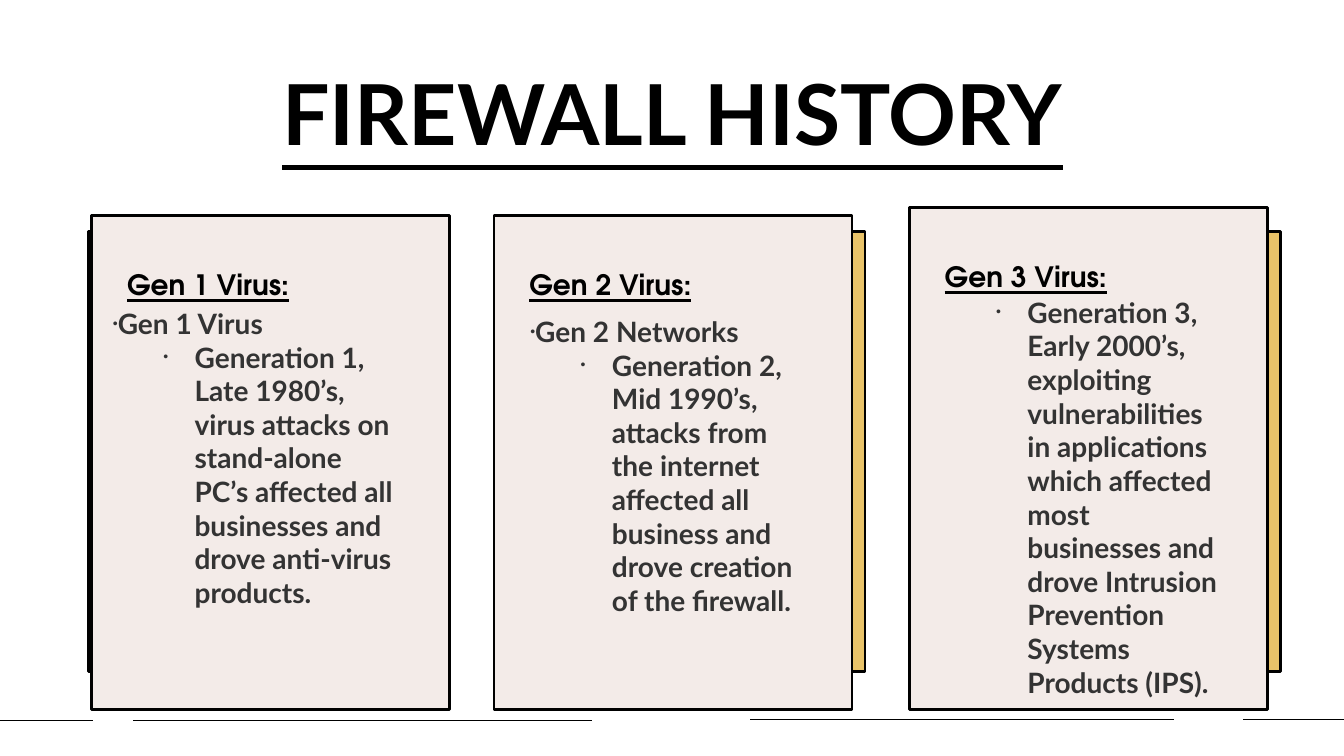
from dataclasses import dataclass

from lxml.etree import SubElement
from pptx import Presentation
from pptx.dml.color import RGBColor
from pptx.enum.shapes import MSO_CONNECTOR, MSO_SHAPE
from pptx.enum.text import MSO_ANCHOR, MSO_AUTO_SIZE, PP_ALIGN
from pptx.oxml.ns import qn
from pptx.util import Pt

EMU_PER_PX = 9144
COLOURS = {"black": "000000", "text": "333333", "gold": "E9C369", "card": "F3EBE8"}
COMPARISON_LAYOUT = 4
CARD_WIDTH = 355
CARD_BOTTOM = 704
PANEL_TOP = 230
PANEL_HEIGHT = 436
LIST_WIDTH = 300


@dataclass(frozen=True)
class Bullet:
    text: str
    level: int


@dataclass(frozen=True)
class Generation:
    heading: str
    panel_left: int
    card_left: int
    card_top: int
    list_left: int
    list_top: int
    list_height: int
    list_inset: int
    bullets: tuple[Bullet, ...]


@dataclass(frozen=True)
class FloorLine:
    start: int
    end: int
    top: int


GENERATIONS = (
    Generation("Gen 1 Virus:", 88, 91, 214, 102, 299, 328, 5, (
        Bullet("Gen 1 Virus", 0),
        Bullet("Generation 1, Late 1980’s, virus attacks on stand-alone PC’s affected all "
               "businesses and drove anti-virus products.", 1),
    )),
    Generation("Gen 2 Virus:", 503, 490, 214, 516, 307, 397, 5, (
        Bullet("Gen 2 Networks", 0),
        Bullet("Generation 2, Mid 1990’s, attacks from the internet affected all business "
               "and drove creation of the firewall.", 1),
    )),
    Generation("Gen 3 Virus:", 915, 902, 206, 928, 255, 439, 38, (
        Bullet("Generation 3, Early 2000’s, exploiting vulnerabilities in applications "
               "which affected most businesses and drove Intrusion Prevention Systems "
               "Products (IPS).", 1),
    )),
)

FLOOR_LINES = (
    FloorLine(0, 92, 715),
    FloorLine(132, 587, 715),
    FloorLine(744, 1164, 714),
    FloorLine(1233, 1333, 714),
)


def px(length: int) -> int:
    return length * EMU_PER_PX


def colour(name: str) -> RGBColor:
    return RGBColor.from_string(COLOURS[name])


def place(shape, left: int, top: int, width: int, height: int) -> None:
    shape.left, shape.top = px(left), px(top)
    shape.width, shape.height = px(width), px(height)


def set_insets(text_frame, left: int, top: int, right: int, bottom: int) -> None:
    text_frame.margin_left, text_frame.margin_top = px(left), px(top)
    text_frame.margin_right, text_frame.margin_bottom = px(right), px(bottom)
    text_frame.word_wrap = True
    text_frame.auto_size = MSO_AUTO_SIZE.NONE


def format_runs(paragraph, font: str, size: int, colour_name: str, underline: bool) -> None:
    for run in paragraph.runs:
        run.font.name = font
        run.font.size = Pt(size)
        run.font.bold = True
        run.font.underline = underline
        run.font.color.rgb = colour(colour_name)


def bring_to_front(shape) -> None:
    shape.element.getparent().append(shape.element)


def draw_floor_line(slide, line: FloorLine) -> None:
    connector = slide.shapes.add_connector(
        MSO_CONNECTOR.STRAIGHT, px(line.start), px(line.top), px(line.end), px(line.top))
    connector.line.color.rgb = colour("black")
    connector.line.width = Pt(1)
    SubElement(connector.element.spPr, qn("a:effectLst"))


def draw_box(slide, left: int, top: int, height: int, fill: str):
    shape = slide.shapes.add_shape(
        MSO_SHAPE.RECTANGLE, px(left), px(top), px(CARD_WIDTH), px(height))
    shape.shadow.inherit = False
    shape.fill.solid()
    shape.fill.fore_color.rgb = colour(fill)
    shape.line.color.rgb = colour("black")
    shape.line.width = Pt(2)
    return shape


def draw_card(slide, generation: Generation) -> None:
    card = draw_box(slide, generation.card_left, generation.card_top,
                    CARD_BOTTOM - generation.card_top, "card")
    text_frame = card.text_frame
    text_frame.text = generation.heading
    text_frame.vertical_anchor = MSO_ANCHOR.TOP
    set_insets(text_frame, 35, 55, 10, 5)
    paragraph = text_frame.paragraphs[0]
    paragraph.alignment = PP_ALIGN.LEFT
    paragraph.line_spacing = 0.9
    paragraph.space_before = Pt(10)
    format_runs(paragraph, "TeX Gyre Adventor", 20, "black", True)


def format_bullet(paragraph, level: int) -> None:
    paragraph.level = level
    paragraph.alignment = PP_ALIGN.LEFT
    paragraph.line_spacing = 1.0
    paragraph.space_before = Pt(0)
    properties = paragraph._p.get_or_add_pPr()
    properties.set("marL", str(px(81 * level)))
    properties.set("indent", str(px(-31 * level)))
    SubElement(properties, qn("a:buSzPct"), val="50000")
    SubElement(properties, qn("a:buFont"), typeface="Arial")
    SubElement(properties, qn("a:buChar"), char="•")
    format_runs(paragraph, "Lato", 20, "text", False)


def fill_list(placeholder, generation: Generation) -> None:
    place(placeholder, generation.list_left, generation.list_top,
          LIST_WIDTH, generation.list_height)
    text_frame = placeholder.text_frame
    text_frame.text = "\n".join(bullet.text for bullet in generation.bullets)
    text_frame.vertical_anchor = MSO_ANCHOR.TOP
    set_insets(text_frame, 10, generation.list_inset, 10, 5)
    for paragraph, bullet in zip(text_frame.paragraphs, generation.bullets):
        format_bullet(paragraph, bullet.level)
    bring_to_front(placeholder)


def fill_title(title) -> None:
    place(title, 125, 56, 1084, 111)
    title.text_frame.text = "FIREWALL HISTORY"
    title.text_frame.vertical_anchor = MSO_ANCHOR.MIDDLE
    set_insets(title.text_frame, 10, 5, 10, 5)
    paragraph = title.text_frame.paragraphs[0]
    paragraph.alignment = PP_ALIGN.CENTER
    format_runs(paragraph, "Lato", 60, "black", True)
    bring_to_front(title)


def main() -> None:
    presentation = Presentation()
    presentation.slide_width, presentation.slide_height = px(1333), px(750)
    slide = presentation.slides.add_slide(presentation.slide_layouts[COMPARISON_LAYOUT])
    title, *lists, spare = list(slide.placeholders)
    spare.element.getparent().remove(spare.element)

    for line in FLOOR_LINES:
        draw_floor_line(slide, line)
    for generation in reversed(GENERATIONS):
        draw_box(slide, generation.panel_left, PANEL_TOP, PANEL_HEIGHT, "gold")
    for placeholder, generation in zip(lists, GENERATIONS):
        draw_card(slide, generation)
        fill_list(placeholder, generation)
    fill_title(title)

    presentation.save("out.pptx")


if __name__ == "__main__":
    main()
